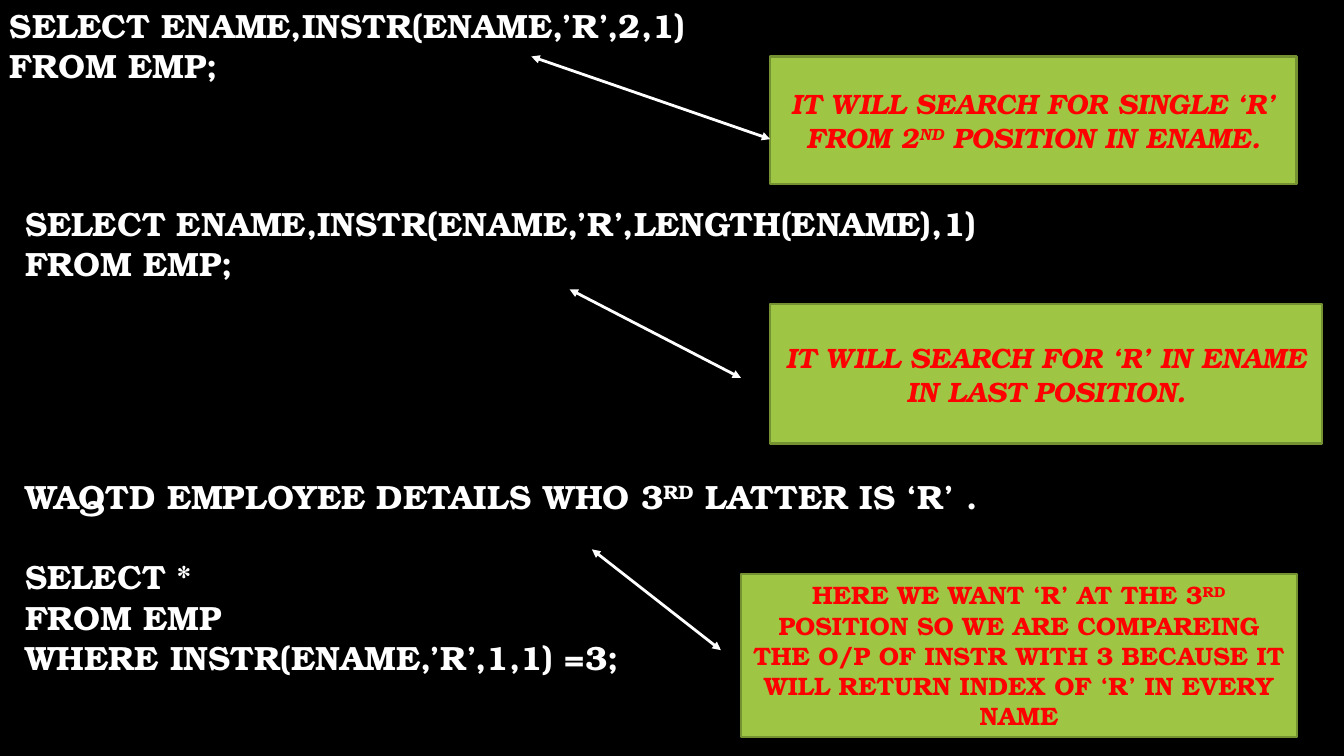
from lxml import etree
from pptx import Presentation
from pptx.dml.color import RGBColor
from pptx.enum.shapes import MSO_CONNECTOR, MSO_SHAPE
from pptx.enum.text import MSO_ANCHOR, MSO_AUTO_SIZE, PP_ALIGN
from pptx.oxml.ns import qn
from pptx.util import Inches, Pt

WIDE, HIGH = Inches(13.33), Inches(7.5)
FONT = "TeX Gyre Bonum"
BLACK, WHITE, RED = "000000", "FFFFFF", "FF0000"
GREEN, OLIVE = "9EC544", "759232"
RECT, LINE = MSO_SHAPE.RECTANGLE, MSO_CONNECTOR.STRAIGHT
LEFT, CENTER, MIDDLE = PP_ALIGN.LEFT, PP_ALIGN.CENTER, MSO_ANCHOR.MIDDLE
GROW = MSO_AUTO_SIZE.SHAPE_TO_FIT_TEXT


def color(code):
    """Turn a hex string into a colour."""
    return RGBColor.from_string(code)


def place(*shares):
    """Turn pairs of percent shares of the slide into lengths."""
    return [int(share * side / 100)
            for share, side in zip(shares, (WIDE, HIGH) * 2)]


def write(frame, lines, size, ink, align, italic=None):
    """Fill a frame with bold lines; text between carets is raised."""
    frame.word_wrap = True
    for row, line in enumerate(lines):
        para = frame.add_paragraph() if row else frame.paragraphs[0]
        para.alignment = align
        for turn, part in enumerate(line.split("^")):
            run = para.add_run()
            run.text = part
            font = run.font
            font.name, font.size = FONT, Pt(size)
            font.bold, font.italic = True, italic
            font.color.rgb = color(ink)
            if turn % 2:
                run._r.get_or_add_rPr().set("baseline", "30000")


def add_query(slide, area, lines):
    """Add a white block of query text and return its frame."""
    frame = slide.shapes.add_textbox(*place(*area)).text_frame
    write(frame, lines, 24, WHITE, LEFT)
    frame.auto_size = GROW
    return frame


def add_note(slide, area, text, size=20, italic=True):
    """Add a green box that explains a query."""
    box = slide.shapes.add_shape(RECT, *place(*area))
    box.shadow.inherit = False
    box.fill.solid()
    box.fill.fore_color.rgb = color(GREEN)
    box.line.color.rgb = color(OLIVE)
    box.line.width = Pt(1.5)
    box.text_frame.vertical_anchor = MIDDLE
    write(box.text_frame, [text], size, RED, CENTER, italic)


def add_arrow(slide, ends):
    """Add a white line with an arrowhead at both ends."""
    arrow = slide.shapes.add_connector(LINE, *place(*ends))
    arrow.line.color.rgb = color(WHITE)
    arrow.line.width = Pt(2)
    edge = arrow.line._get_or_add_ln()
    for tip in ("a:headEnd", "a:tailEnd"):
        etree.SubElement(edge, qn(tip), type="triangle")
    etree.SubElement(arrow._element.spPr, qn("a:effectLst"))


def main():
    """Build the slide on the INSTR function."""
    deck = Presentation()
    deck.slide_width, deck.slide_height = WIDE, HIGH
    slide = deck.slides.add_slide(deck.slide_layouts[6])
    slide.background.fill.solid()
    slide.background.fill.fore_color.rgb = color(BLACK)

    add_query(slide, (0, 0, 55.14, 12.13),
              ["SELECT ENAME,INSTR(ENAME,’R’,2,1) FROM EMP;"])
    add_note(slide, (57.31, 7.47, 39.16, 16.93),
             "IT WILL SEARCH FOR SINGLE ‘R’ FROM 2^ND^ POSITION IN ENAME.")
    add_arrow(slide, (39.53, 7.47, 57.31, 18.4))

    add_query(slide, (1.13, 26.13, 82.52, 12.13),
              ["SELECT ENAME,INSTR(ENAME,’R’,LENGTH(ENAME),1)", "FROM EMP;"])
    add_note(slide, (57.31, 40.27, 41.04, 18.4),
             "IT WILL SEARCH FOR ‘R’ IN ENAME IN LAST POSITION.")
    add_arrow(slide, (42.38, 38.27, 55.14, 50))

    task = add_query(slide, (1.13, 62.27, 82.52, 28.27),
                     ["WAQTD EMPLOYEE DETAILS WHO 3^RD^ LATTER IS ‘R’ .",
                      "SELECT *", "FROM EMP",
                      "WHERE INSTR(ENAME,’R’,1,1) =3;"])
    task.paragraphs[1].space_before = Pt(28.8)
    add_note(slide, (55.14, 75.87, 41.34, 21.6),
             "HERE WE WANT ‘R’ AT THE 3^RD^ POSITION SO WE ARE COMPAREING "
             "THE O/P OF INSTR WITH 3 BECAUSE IT WILL RETURN INDEX OF ‘R’ "
             "IN EVERY NAME", 18, None)
    add_arrow(slide, (44.04, 72.67, 53.64, 86))
    deck.save("out.pptx")


main()
